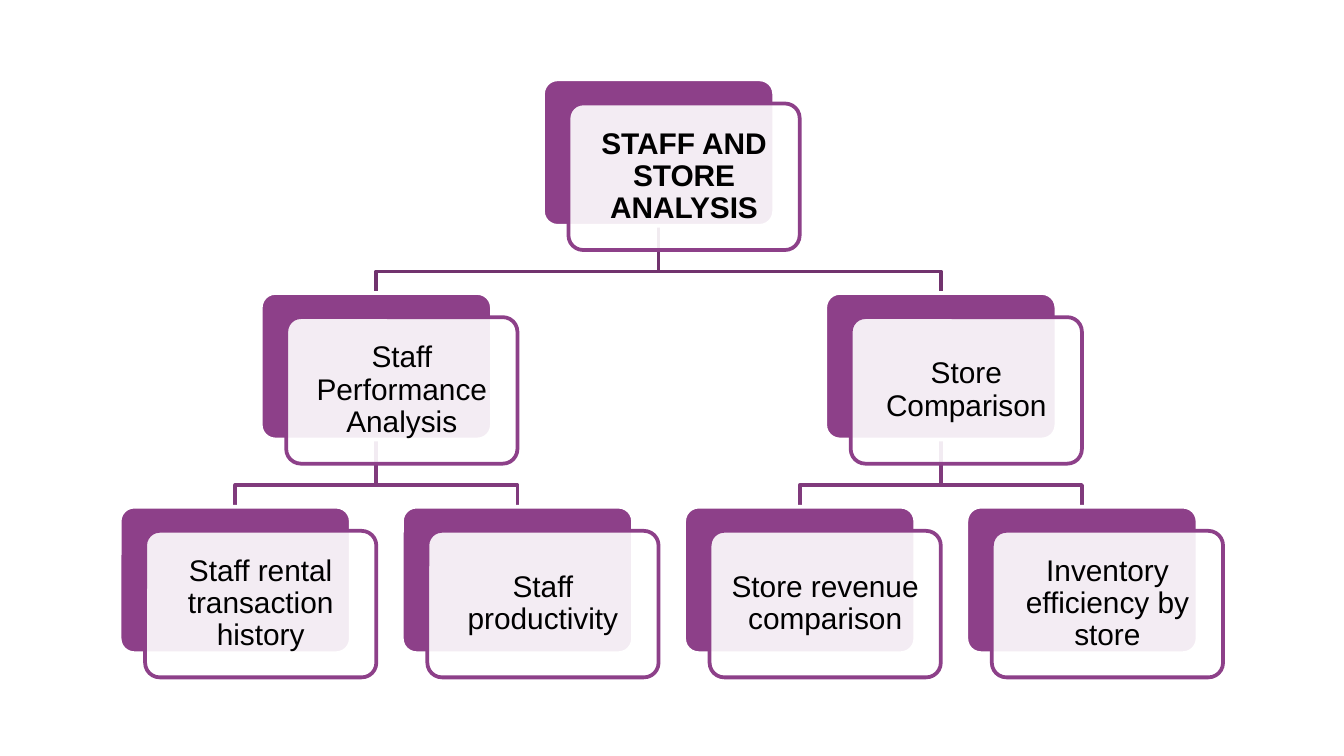
import pptx
import pptx.util
from pptx.dml.color import RGBColor
from pptx.enum.shapes import MSO_SHAPE
from pptx.enum.text import MSO_ANCHOR, PP_ALIGN
from pptx.oxml import parse_xml
from pptx.oxml.ns import nsdecls, qn
from pptx.util import Inches

# Slide size, 16:9
SLIDE_WIDTH = 10
SLIDE_HEIGHT = SLIDE_WIDTH * 9 / 16

# Card size, and the shift from the back card to the front card
CARD_WIDTH, CARD_HEIGHT = 1.72, 1.09
SHIFT_X, SHIFT_Y = 0.19, 0.18

# Grid of the tree
FIRST_CENTRE, COLUMN_STEP = 1.75, 2.1
FIRST_TOP, ROW_STEP = 0.59, 1.59
ELBOW_RISE = 0.16

PURPLE = "8D4089"
LINK_COLOURS = ["71336E", "803A7C"]

# Each node is a label and its children
TREE = ("STAFF AND STORE ANALYSIS", [
    ("Staff Performance Analysis", [
        ("Staff rental transaction history", []),
        ("Staff productivity", []),
    ]),
    ("Store Comparison", [
        ("Store revenue comparison", []),
        ("Inventory efficiency by store", []),
    ]),
])


def colour(hex_string):
    return RGBColor.from_string(hex_string)


class TreeSlide:
    font_name = "Arial"
    font_size = 16
    line_width = 2

    def __init__(self, slide):
        self.slide = slide

    def outline(self, shape, hex_string):
        shape.shadow.inherit = False
        shape.line.color.rgb = colour(hex_string)
        shape.line.width = pptx.util.Pt(self.line_width)

    def card(self, left, top, fill, line):
        shape = self.slide.shapes.add_shape(
            MSO_SHAPE.ROUNDED_RECTANGLE, Inches(left), Inches(top),
            Inches(CARD_WIDTH), Inches(CARD_HEIGHT))
        shape.adjustments[0] = 0.1
        shape.fill.solid()
        shape.fill.fore_color.rgb = colour(fill)
        self.outline(shape, line)
        return shape

    def node(self, centre, top, label, bold):
        left = centre - CARD_WIDTH / 2
        self.card(left, top, PURPLE, "FFFFFF")
        front = self.card(left + SHIFT_X, top + SHIFT_Y, "FFFFFF", PURPLE)

        # Let the back card show faintly through the front one
        solid_fill = front.element.spPr.find(qn("a:solidFill"))
        solid_fill[0].append(
            parse_xml(f'<a:alpha {nsdecls("a")} val="90000"/>'))

        frame = front.text_frame
        frame.word_wrap = True
        frame.vertical_anchor = MSO_ANCHOR.MIDDLE
        frame.margin_left = frame.margin_right = Inches(0.07)
        frame.margin_top = frame.margin_bottom = Inches(0.07)
        paragraph = frame.paragraphs[0]
        paragraph.text = label
        paragraph.alignment = PP_ALIGN.CENTER
        paragraph.line_spacing = 0.9
        paragraph.font.name = self.font_name
        paragraph.font.size = pptx.util.Pt(self.font_size)
        paragraph.font.bold = bold
        paragraph.font.color.rgb = colour("000000")

    def link(self, parent_centre, parent_top, child_centre, hex_string):
        child_top = parent_top + ROW_STEP
        elbow = child_top - ELBOW_RISE
        points = [(parent_centre, elbow), (child_centre, elbow),
                  (child_centre, child_top)]
        builder = self.slide.shapes.build_freeform(
            Inches(parent_centre), Inches(parent_top + CARD_HEIGHT))
        builder.add_line_segments(
            [(Inches(x), Inches(y)) for x, y in points], close=False)
        shape = builder.convert_to_shape()
        shape.fill.background()
        self.outline(shape, hex_string)


def place(node, level, nodes, links, leaf_count=0):
    """Collect nodes and links; return the node's centre and the leaf count."""
    label, children = node
    top = FIRST_TOP + level * ROW_STEP
    if not children:
        centre = FIRST_CENTRE + leaf_count * COLUMN_STEP
        leaf_count += 1
    else:
        child_centres = []
        for child in children:
            child_centre, leaf_count = place(
                child, level + 1, nodes, links, leaf_count)
            child_centres.append(child_centre)
        centre = sum(child_centres) / len(child_centres)
        for child_centre in child_centres:
            links.append((centre, top, child_centre, LINK_COLOURS[level]))
    nodes.append((centre, top, label, level == 0))
    return centre, leaf_count


def main():
    presentation = pptx.Presentation()
    presentation.slide_width = Inches(SLIDE_WIDTH)
    presentation.slide_height = Inches(SLIDE_HEIGHT)
    blank_layout = presentation.slide_layouts[6]
    tree_slide = TreeSlide(presentation.slides.add_slide(blank_layout))

    # Links lie behind the cards
    nodes, links = [], []
    place(TREE, 0, nodes, links)
    for link in links:
        tree_slide.link(*link)
    for node in nodes:
        tree_slide.node(*node)

    presentation.save("out.pptx")


if __name__ == "__main__":
    main()
